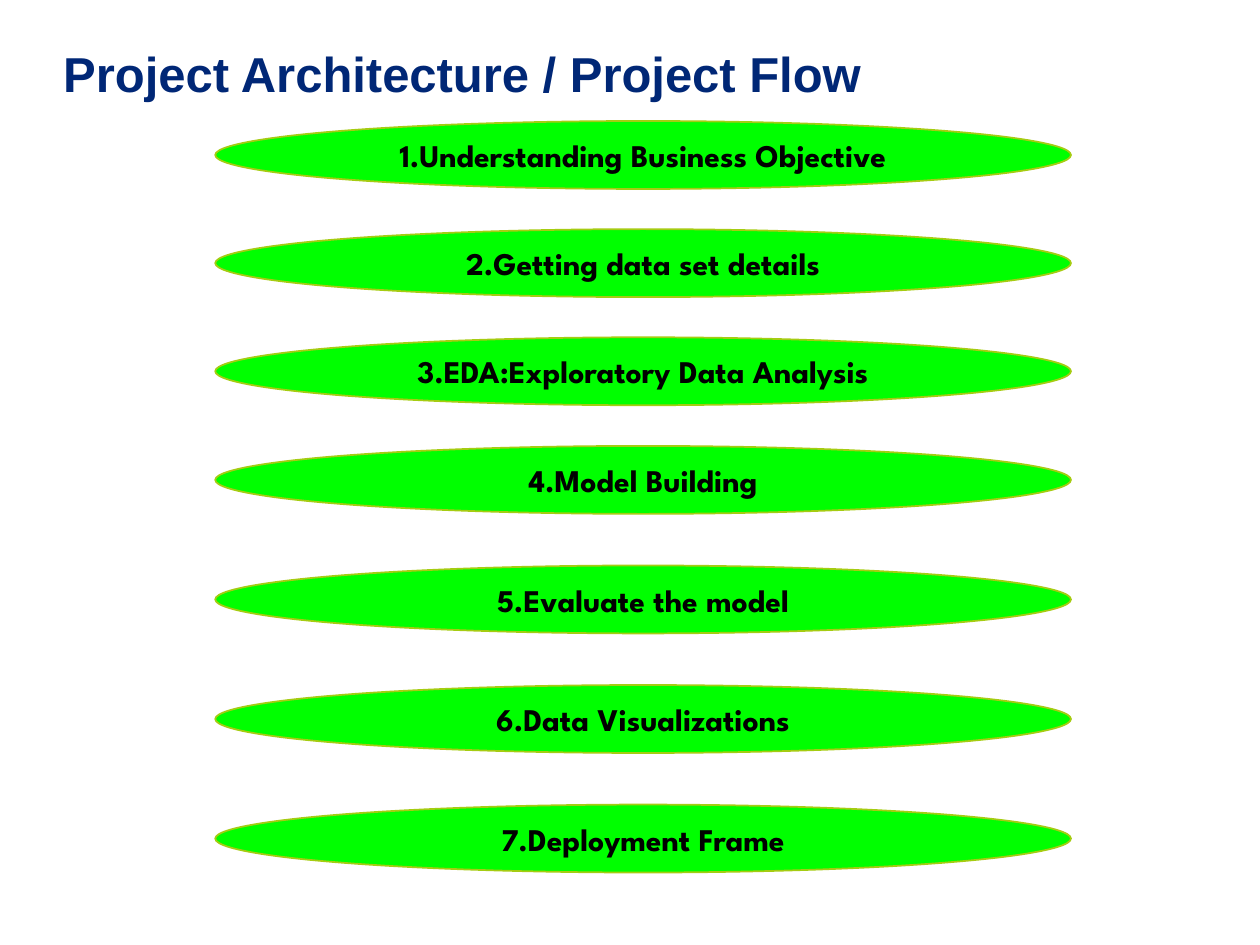
from pptx import Presentation
from pptx.dml.color import RGBColor
from pptx.enum.shapes import MSO_SHAPE
from pptx.enum.text import MSO_ANCHOR, MSO_AUTO_SIZE, PP_ALIGN
from pptx.util import Cm, Pt

OVAL = MSO_SHAPE.OVAL
TOP, MIDDLE = MSO_ANCHOR.TOP, MSO_ANCHOR.MIDDLE
LEFT, CENTER = PP_ALIGN.LEFT, PP_ALIGN.CENTER
GROW = MSO_AUTO_SIZE.SHAPE_TO_FIT_TEXT

HEADING = "Project Architecture / Project Flow"
# The later stages are spaced a little wider than the early ones.
EARLY_STAGES = [
    "1.Understanding Business Objective",
    "2.Getting data set details",
    "3.EDA:Exploratory Data Analysis",
]
LATE_STAGES = [
    "4.Model Building",
    "5.Evaluate the model",
    "6.Data Visualizations",
    "7.Deployment Frame",
]
EARLY_TOP, EARLY_STEP = 2.44, 2.18
LATE_TOP, LATE_STEP = 8.99, 2.41
STAGE_LEFT, STAGE_WIDTH, STAGE_HEIGHT = 4.34, 17.25, 1.37


def color(hex_code):
    return RGBColor.from_string(hex_code)


def write(shape, text, *, font, size, ink, align, anchor):
    frame = shape.text_frame
    frame.word_wrap = True
    frame.vertical_anchor = anchor
    paragraph = frame.paragraphs[0]
    paragraph.alignment = align
    run = paragraph.add_run()
    run.text = text
    run.font.name = font
    run.font.size = Pt(size)
    run.font.bold = True
    run.font.color.rgb = color(ink)


def add_stage(slide, text, top):
    stage = slide.shapes.add_shape(
        OVAL, Cm(STAGE_LEFT), Cm(top), Cm(STAGE_WIDTH), Cm(STAGE_HEIGHT))
    stage.shadow.inherit = False
    stage.fill.solid()
    stage.fill.fore_color.rgb = color("00FF00")
    stage.line.color.rgb = color("A5CC12")
    stage.line.width = Pt(1)
    write(stage, text, font="League Spartan", size=18, ink="000000",
          align=CENTER, anchor=MIDDLE)


def main():
    deck = Presentation()
    deck.slide_width, deck.slide_height = Cm(25.4), Cm(19.05)
    slide = deck.slides.add_slide(deck.slide_layouts.get_by_name("Title Only"))

    heading = slide.shapes.title
    heading.left, heading.top = Cm(1.02), Cm(0.74)
    heading.width, heading.height = Cm(17.04), Cm(1.45)
    write(heading, HEADING, font="Arial", size=28, ink="002776",
          align=LEFT, anchor=TOP)
    heading.text_frame.auto_size = GROW

    for stages, top, step in ((EARLY_STAGES, EARLY_TOP, EARLY_STEP),
                              (LATE_STAGES, LATE_TOP, LATE_STEP)):
        for row, text in enumerate(stages):
            add_stage(slide, text, top + row * step)

    deck.save("out.pptx")


if __name__ == "__main__":
    main()
